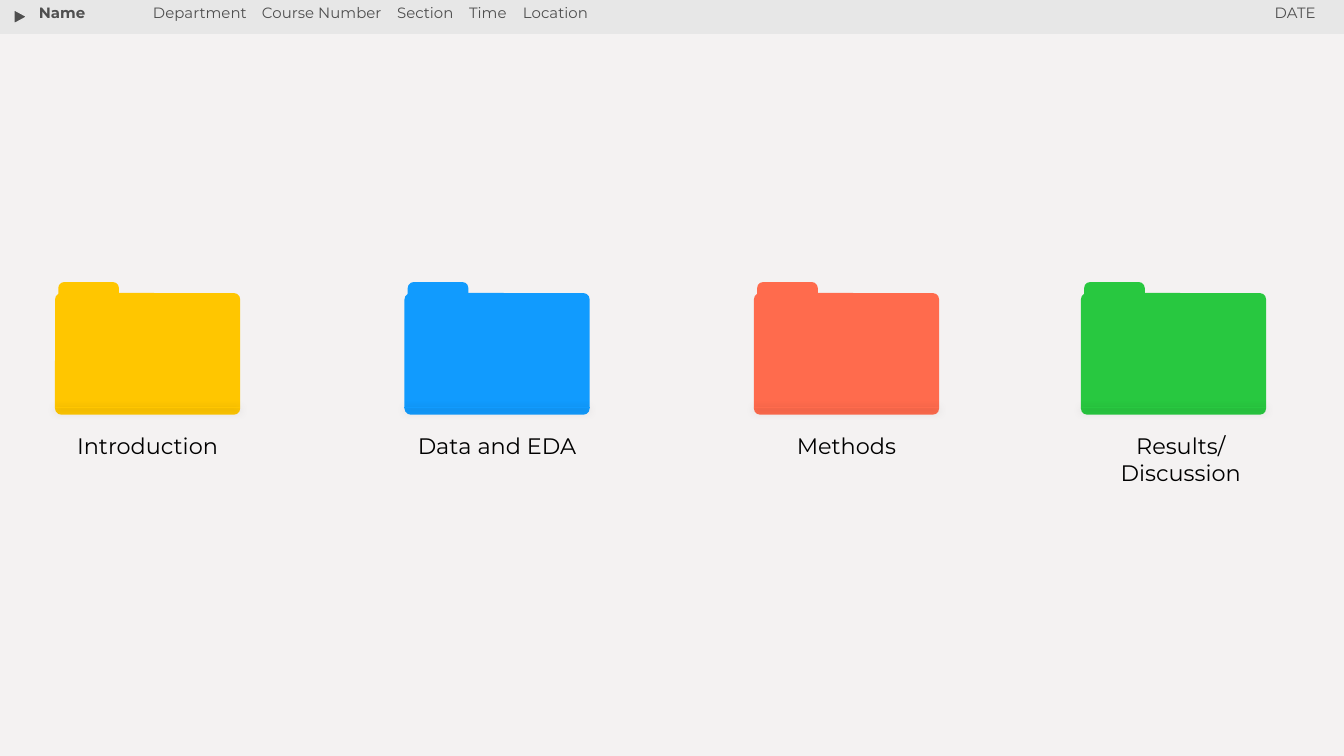
from lxml import etree
from pptx import Presentation
from pptx.dml.color import RGBColor
from pptx.enum.shapes import MSO_CONNECTOR, MSO_SHAPE
from pptx.enum.text import MSO_ANCHOR, MSO_AUTO_SIZE, PP_ALIGN
from pptx.oxml import parse_xml
from pptx.oxml.ns import nsdecls, qn
from pptx.util import Pt

RECTANGLE = MSO_SHAPE.RECTANGLE
TRIANGLE = MSO_SHAPE.ISOSCELES_TRIANGLE
ROUNDED = MSO_SHAPE.ROUNDED_RECTANGLE
ROUNDED_TOP = MSO_SHAPE.ROUND_2_SAME_RECTANGLE
STRAIGHT = MSO_CONNECTOR.STRAIGHT
LEFT, CENTER, RIGHT = PP_ALIGN.LEFT, PP_ALIGN.CENTER, PP_ALIGN.RIGHT
TOP = MSO_ANCHOR.TOP
GROW = MSO_AUTO_SIZE.SHAPE_TO_FIT_TEXT

PAGE = RGBColor(0xF4, 0xF2, 0xF2)
BAR = RGBColor(0xE7, 0xE7, 0xE7)
GREY = RGBColor(0x4F, 0x4F, 0x4F)
BLACK = RGBColor(0, 0, 0)
YELLOW = RGBColor(0xFF, 0xC6, 0x00)
BLUE = RGBColor(0x11, 0x9B, 0xFE)
CORAL = RGBColor(0xFF, 0x6B, 0x4D)
GREEN = RGBColor(0x28, 0xC8, 0x40)

HEADER_FONT = {"name": "Montserrat", "size": Pt(8), "bold": False}
LABEL_FONT = {"name": "Montserrat", "size": Pt(12), "bold": False}
FRAME = {"word_wrap": True, "auto_size": GROW, "vertical_anchor": TOP,
         "margin_left": Pt(7.2), "margin_right": Pt(7.2),
         "margin_top": Pt(7.2), "margin_bottom": Pt(7.2)}

COURSE_FIELDS = ["Department", "Course Number", "Section", "Time", "Location"]
COURSE_STOPS = [58.4, 130.8, 169.3, 198.2]

FOLDER_WIDTH = 99.2
# left edge, colour, label, label left edge, label width
FOLDERS = [
    (29.5, YELLOW, "Introduction", 29.5, FOLDER_WIDTH),
    (216.7, BLUE, "Data and EDA", 216.7, FOLDER_WIDTH),
    (403.9, CORAL, "Methods", 403.9, FOLDER_WIDTH),
    (579.1, GREEN, "Results/Discussion", 571, 123.1),
]


def set_values(target, values):
    for name, value in values.items():
        setattr(target, name, value)


def add_block(shapes, kind, left, top, width, height, color, adjustments=()):
    block = shapes.add_shape(kind, Pt(left), Pt(top), Pt(width), Pt(height))
    block.shadow.inherit = False
    block.fill.solid()
    block.fill.fore_color.rgb = color
    block.line.fill.background()
    for index, value in enumerate(adjustments):
        block.adjustments[index] = value
    return block


def add_text(shapes, left, top, width, height, text, font, color, align=LEFT, stops=()):
    box = shapes.add_textbox(Pt(left), Pt(top), Pt(width), Pt(height))
    set_values(box.text_frame, FRAME)
    paragraph = box.text_frame.paragraphs[0]
    paragraph.text = text
    paragraph.alignment = align
    if stops:
        tab_list = etree.SubElement(paragraph._p.get_or_add_pPr(), qn("a:tabLst"))
        for stop in stops:
            etree.SubElement(tab_list, qn("a:tab"), pos=str(Pt(stop)), algn="l")
    run_font = paragraph.runs[0].font
    set_values(run_font, font)
    run_font.color.rgb = color


def add_header(shapes, left, top, width, height):
    add_block(shapes, RECTANGLE, left, top, width, height, BAR)
    arrow = add_block(shapes, TRIANGLE, left + 7.2, top + 5.5, 7.6, 7, GREY)
    arrow.rotation = 90
    arrow.line.color.rgb = BAR
    arrow.line.width = Pt(0.75)

    text_top, text_height = top - 2.8, 33.8
    add_text(shapes, left + 591.8, text_top, 120.2, text_height,
             "DATE", HEADER_FONT, GREY, RIGHT)
    add_text(shapes, left + 13.7, text_top, 92.2, text_height,
             "Name", HEADER_FONT | {"bold": True}, GREY)
    add_text(shapes, left + 74.9, text_top, 300.2, text_height,
             "\t".join(COURSE_FIELDS), HEADER_FONT, GREY, stops=COURSE_STOPS)


def add_folder(shapes, left, top, width, height, color):
    """Group a tab, a body and a shadowed crease near the bottom."""
    folder = shapes.add_group_shape().shapes
    body_top = top + 5.9
    add_block(folder, ROUNDED_TOP, left + 1.7, top, 32.5, 6.5, color, (0.5, 0))
    add_block(folder, ROUNDED, left, body_top, width, height - 5.9, color, (0.053,))

    crease_y = Pt(top + height - 4)
    crease = folder.add_connector(STRAIGHT, Pt(left), crease_y, Pt(left + width), crease_y)
    crease.line.color.rgb = color
    crease.line.width = Pt(0.75)
    crease._element.spPr.append(parse_xml(
        f'<a:effectLst {nsdecls("a")}>'
        f'<a:outerShdw blurRad="{Pt(4.5)}" dist="{Pt(1.5)}" dir="5400000"'
        ' algn="bl" rotWithShape="0">'
        '<a:srgbClr val="000000"><a:alpha val="30000"/></a:srgbClr>'
        '</a:outerShdw></a:effectLst>'))


def main():
    presentation = Presentation()
    presentation.slide_width, presentation.slide_height = Pt(720), Pt(405)
    slide = presentation.slides.add_slide(presentation.slide_layouts[6])
    slide.background.fill.solid()
    slide.background.fill.fore_color.rgb = PAGE

    add_header(slide.shapes, 0, 0, 720, 18.2)
    for left, color, label, label_left, label_width in FOLDERS:
        add_folder(slide.shapes, left, 151.1, FOLDER_WIDTH, 71.1, color)
        add_text(slide.shapes, label_left, 224.6, label_width, 28.8,
                 label, LABEL_FONT, BLACK, CENTER)
    presentation.save("out.pptx")


if __name__ == "__main__":
    main()
